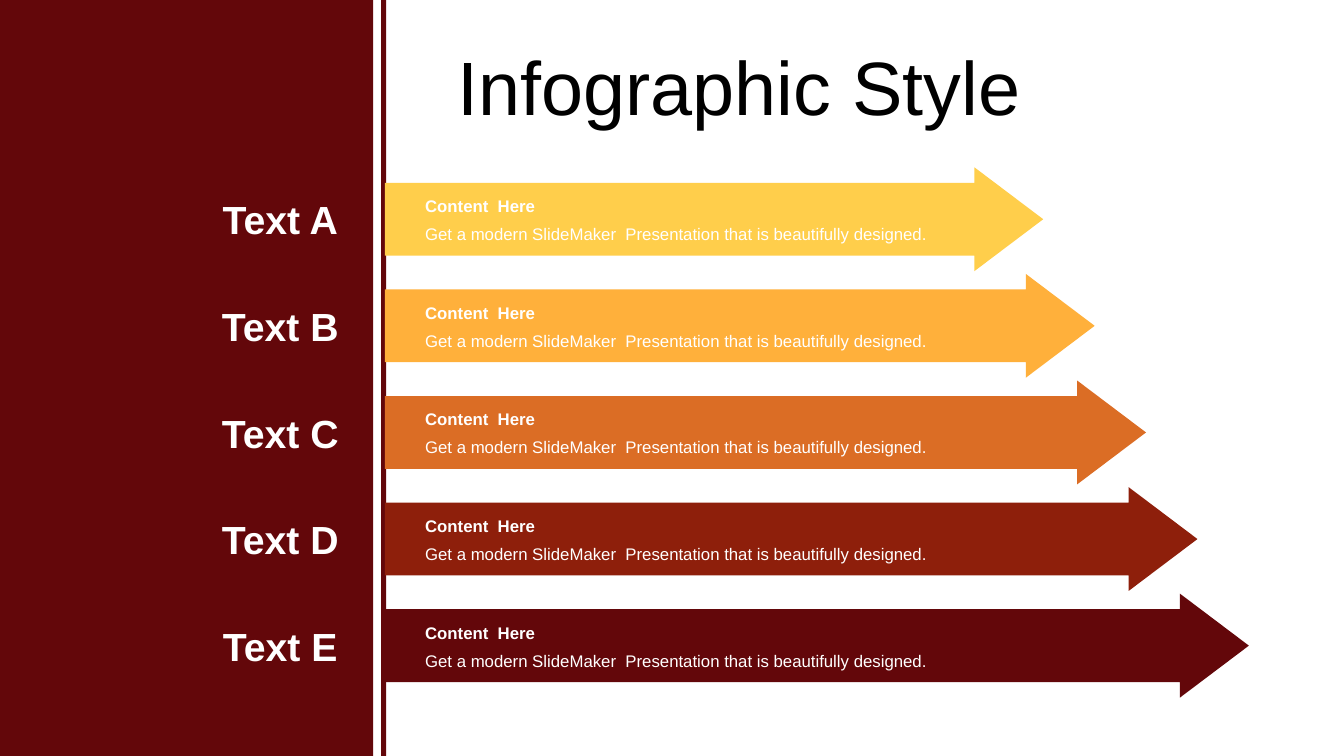
from dataclasses import dataclass

from pptx import Presentation
from pptx.dml.color import RGBColor
from pptx.enum.shapes import MSO_SHAPE
from pptx.enum.text import MSO_ANCHOR, MSO_AUTO_SIZE, PP_ALIGN
from pptx.shapes.autoshape import Shape
from pptx.slide import Slide
from pptx.text.text import TextFrame
from pptx.util import Pt

FONT = "Arial"
WHITE = "FFFFFF"
MAROON = "63070A"
ROW_PITCH = 76.15
ARROW_GROWTH = 36.72
HEADING = "Content  Here"
DETAIL = "Get a modern SlideMaker  Presentation that is beautifully designed."


@dataclass
class Box:
    """Position and size in points."""
    left: float
    top: float
    width: float
    height: float

    def lengths(self) -> tuple[Pt, Pt, Pt, Pt]:
        """Return the box as lengths for a shape."""
        return Pt(self.left), Pt(self.top), Pt(self.width), Pt(self.height)


@dataclass
class Step:
    """One labelled arrow."""
    label: str
    color: str


STEPS = [
    Step("Text A", "FFCE4B"),
    Step("Text B", "FFB03B"),
    Step("Text C", "DB6D25"),
    Step("Text D", "8E1F0B"),
    Step("Text E", MAROON),
]


def rgb(color: str) -> RGBColor:
    """Turn a hex string into a colour."""
    return RGBColor.from_string(color)


def add_block(slide: Slide, kind: MSO_SHAPE, box: Box, color: str) -> Shape:
    """Add a filled shape without line or shadow."""
    block = slide.shapes.add_shape(kind, *box.lengths())
    block.shadow.inherit = False
    block.fill.solid()
    block.fill.fore_color.rgb = rgb(color)
    block.line.fill.background()
    return block


def write(frame: TextFrame, text: str, size: float, color: str,
          bold: bool = False, align: PP_ALIGN = PP_ALIGN.LEFT) -> None:
    """Write one formatted run into the first paragraph."""
    paragraph = frame.paragraphs[0]
    paragraph.alignment = align
    run = paragraph.add_run()
    run.text = text
    run.font.name = FONT
    run.font.size = Pt(size)
    run.font.bold = bold
    run.font.color.rgb = rgb(color)


def add_text(slide: Slide, box: Box) -> TextFrame:
    """Add a wrapping text box that fits its text."""
    frame = slide.shapes.add_textbox(*box.lengths()).text_frame
    frame.word_wrap = True
    frame.auto_size = MSO_AUTO_SIZE.SHAPE_TO_FIT_TEXT
    return frame


def add_step(slide: Slide, step: Step, index: int) -> None:
    """Draw one arrow with its label, heading and detail."""
    offset = index * ROW_PITCH
    arrow = add_block(slide, MSO_SHAPE.RIGHT_ARROW,
                      Box(275, 119.5 + offset, 470.2 + index * ARROW_GROWTH, 74.2), step.color)
    arrow.adjustments[0] = 0.701
    arrow.adjustments[1] = 0.663

    label = add_text(slide, Box(148.3, 136, 103.7, 41.2))
    label.vertical_anchor = MSO_ANCHOR.MIDDLE
    write(label, step.label, 28, WHITE, True, PP_ALIGN.CENTER)
    slide.shapes[-1].top = Pt(136 + offset)

    write(add_text(slide, Box(296.6, 136.4 + offset, 405.4, 21.8)), HEADING, 12, WHITE, True)
    write(add_text(slide, Box(296.6, 156.3 + offset, 405.4, 21.8)), DETAIL, 12, WHITE)


def add_title(slide: Slide, text: str) -> None:
    """Place and format the title placeholder."""
    title = slide.shapes.title
    title.left, title.top, title.width, title.height = Box(319.7, 26.6, 617, 57).lengths()
    frame = title.text_frame
    frame.auto_size = MSO_AUTO_SIZE.NONE
    frame.vertical_anchor = MSO_ANCHOR.TOP
    frame.margin_top = Pt(2)
    frame.margin_bottom = Pt(0)
    write(frame, text, 54, "000000")


def main() -> None:
    """Build and save the slide."""
    deck = Presentation()
    deck.slide_width, deck.slide_height = Pt(960), Pt(540)
    slide = deck.slides.add_slide(deck.slide_layouts[5])
    add_block(slide, MSO_SHAPE.RECTANGLE, Box(0, 0, 266.6, 540), MAROON)
    add_block(slide, MSO_SHAPE.RECTANGLE, Box(272.2, 0, 3.6, 540), MAROON)
    for index, step in enumerate(STEPS):
        add_step(slide, step, index)
    add_title(slide, "Infographic Style")
    deck.save("out.pptx")


if __name__ == "__main__":
    main()
